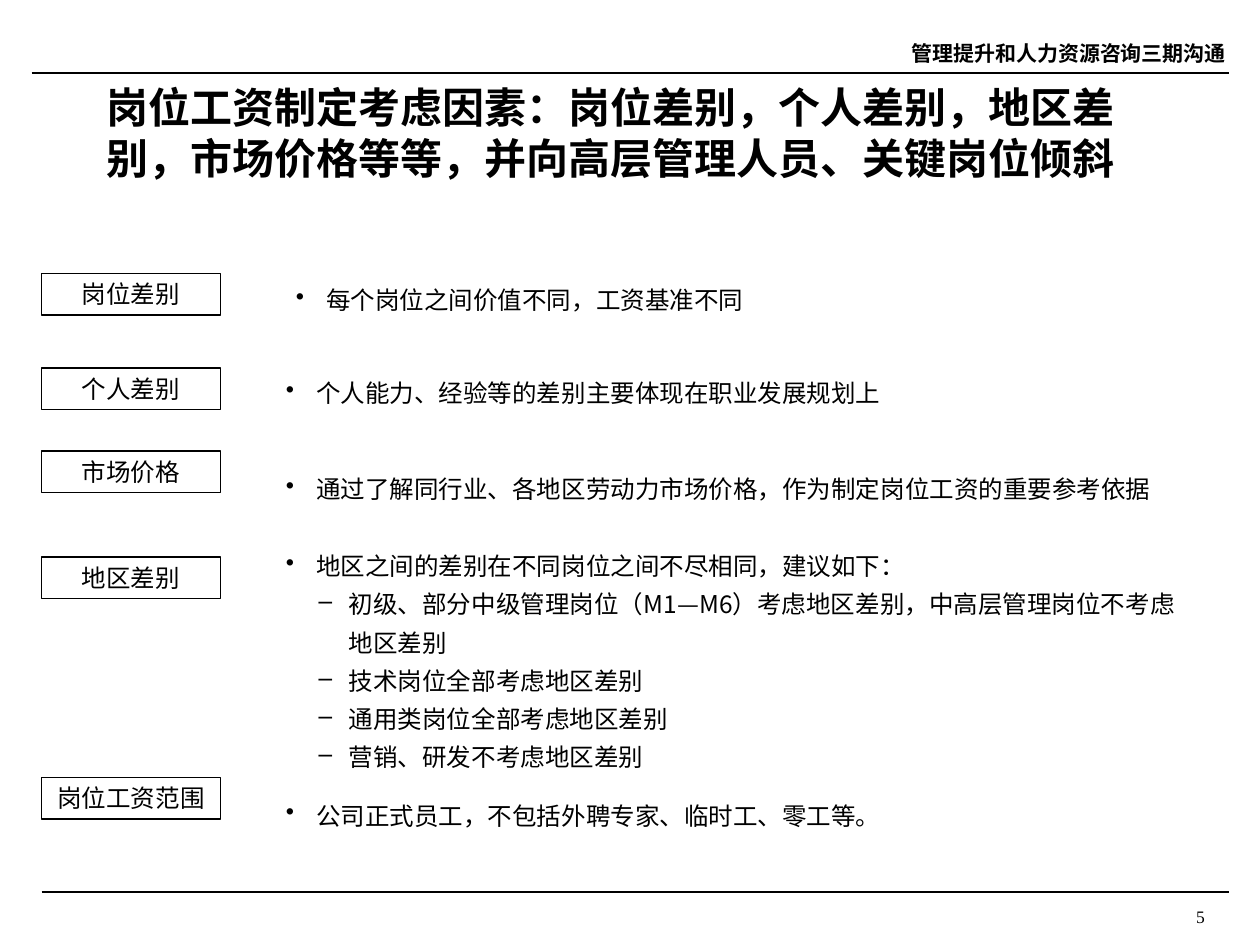
from pptx import Presentation
from pptx.dml.color import RGBColor
from pptx.enum.shapes import MSO_CONNECTOR, MSO_SHAPE
from pptx.enum.text import MSO_ANCHOR, PP_ALIGN
from pptx.oxml.ns import qn
from pptx.util import Inches, Pt

LEFT, MID, RIGHT = PP_ALIGN.LEFT, PP_ALIGN.CENTER, PP_ALIGN.RIGHT
TOP, CENTER = MSO_ANCHOR.TOP, MSO_ANCHOR.MIDDLE
RECT, LINE = MSO_SHAPE.RECTANGLE, MSO_CONNECTOR.STRAIGHT

HEAD = "管理提升和人力资源咨询三期沟通"
TITLE = "岗位工资制定考虑因素：岗位差别，个人差别，地区差别，市场价格等等，并向高层管理人员、关键岗位倾斜"
PAGE = "5"
LABELS = [
    ("岗位差别", 2.17),
    ("个人差别", 2.92),
    ("市场价格", 3.58),
    ("地区差别", 4.42),
    ("岗位工资范围", 6.17),
]
NOTES = [
    ((2.25, 2.18, 7.17, 0.4), [(0, "每个岗位之间价值不同，工资基准不同")]),
    ((2.17, 2.98, 7.17, 0.27), [(0, "个人能力、经验等的差别主要体现在职业发展规划上")]),
    ((2.17, 3.68, 7.17, 0.4), [(0, "通过了解同行业、各地区劳动力市场价格，作为制定岗位工资的重要参考依据")]),
    ((2.17, 4.43, 7.33, 1.57), [
        (0, "地区之间的差别在不同岗位之间不尽相同，建议如下："),
        (1, "初级、部分中级管理岗位（M1—M6）考虑地区差别，中高层管理岗位不考虑地区差别"),
        (1, "技术岗位全部考虑地区差别"),
        (1, "通用类岗位全部考虑地区差别"),
        (1, "营销、研发不考虑地区差别"),
    ]),
    ((2.17, 6.27, 7.17, 0.4), [(0, "公司正式员工，不包括外聘专家、临时工、零工等。")]),
]
RULES = [(0.25, 0.58), (0.33, 7.08)]
RULE_END = 9.75
BULLETS = [("•", 0.24), ("–", 0.5)]
HANG = 0.24

SANS = "Noto Sans CJK SC"
THEME = {
    "ink": RGBColor(0, 0, 0),
    "line": Pt(0.75),
    "head": {"name": SANS, "size": Pt(12), "bold": True},
    "title": {"name": SANS, "size": Pt(24), "bold": True},
    "body": {"name": SANS, "size": Pt(14), "bold": False},
    "page": {"name": "Times New Roman", "size": Pt(10), "bold": False},
}


def apply(item, values):
    for key, value in values.items():
        setattr(item, key, value)


def write(para, text, style, **form):
    apply(para, form)
    run = para.add_run()
    run.text = text
    apply(run.font, THEME[style])
    run.font.color.rgb = THEME["ink"]
    east = run.font._element.makeelement(qn("a:ea"), {"typeface": THEME[style]["name"]})
    run.font._element.append(east)


def add_box(slide, at, anchor=CENTER):
    box = slide.shapes.add_textbox(*map(Inches, at))
    apply(box.text_frame, {"word_wrap": True, "vertical_anchor": anchor})
    return box.text_frame


def add_mark(para, level):
    sign, left = BULLETS[level]
    props = para._p.get_or_add_pPr()
    props.set("marL", str(Inches(left)))
    props.set("indent", str(-Inches(HANG)))
    props.append(props.makeelement(qn("a:buChar"), {"char": sign}))


def add_rule(slide, left, top):
    rule = slide.shapes.add_connector(
        LINE, Inches(left), Inches(top), Inches(RULE_END), Inches(top))
    rule.line.color.rgb = THEME["ink"]
    rule.line.width = THEME["line"]
    props = rule._element.spPr
    props.append(props.makeelement(qn("a:effectLst"), {}))


def add_label(slide, text, top):
    shape = slide.shapes.add_shape(RECT, *map(Inches, (0.33, top, 1.42, 0.33)))
    shape.shadow.inherit = False
    shape.fill.background()
    shape.line.color.rgb = THEME["ink"]
    shape.line.width = THEME["line"]
    apply(shape.text_frame, {"word_wrap": True, "vertical_anchor": CENTER})
    write(shape.text_frame.paragraphs[0], text, "body", alignment=MID)


def add_note(slide, at, lines):
    frame = add_box(slide, at)
    form = {"line_spacing": Pt(21.8)} if len(lines) > 1 else {}
    for i, (level, text) in enumerate(lines):
        para = frame.add_paragraph() if i else frame.paragraphs[0]
        add_mark(para, level)
        write(para, text, "body", level=level, **form)


def main():
    deck = Presentation()
    apply(deck, {"slide_width": Inches(10), "slide_height": Inches(7.5)})
    slide = deck.slides.add_slide(deck.slide_layouts[6])
    for left, top in RULES:
        add_rule(slide, left, top)
    head = add_box(slide, (6.75, 0.17, 3.08, 0.5))
    write(head.paragraphs[0], HEAD, "head", alignment=RIGHT)
    title = add_box(slide, (0.75, 0.67, 8.5, 0.75))
    write(title.paragraphs[0], TITLE, "title", alignment=LEFT, line_spacing=Pt(29))
    for text, top in LABELS:
        add_label(slide, text, top)
    for at, lines in NOTES:
        add_note(slide, at, lines)
    page = add_box(slide, (7.08, 7.14, 2.58, 0.19), TOP)
    write(page.paragraphs[0], PAGE, "page", alignment=RIGHT)
    deck.save("out.pptx")


if __name__ == "__main__":
    main()
